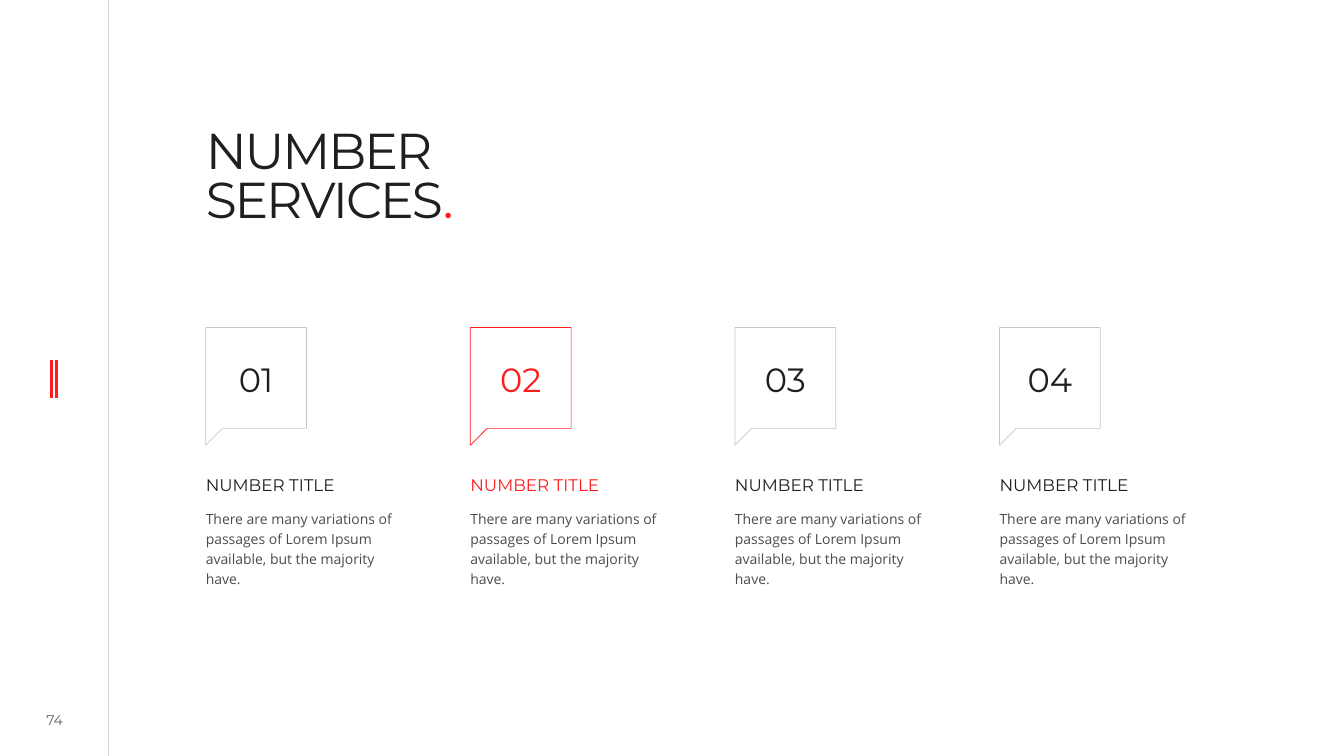
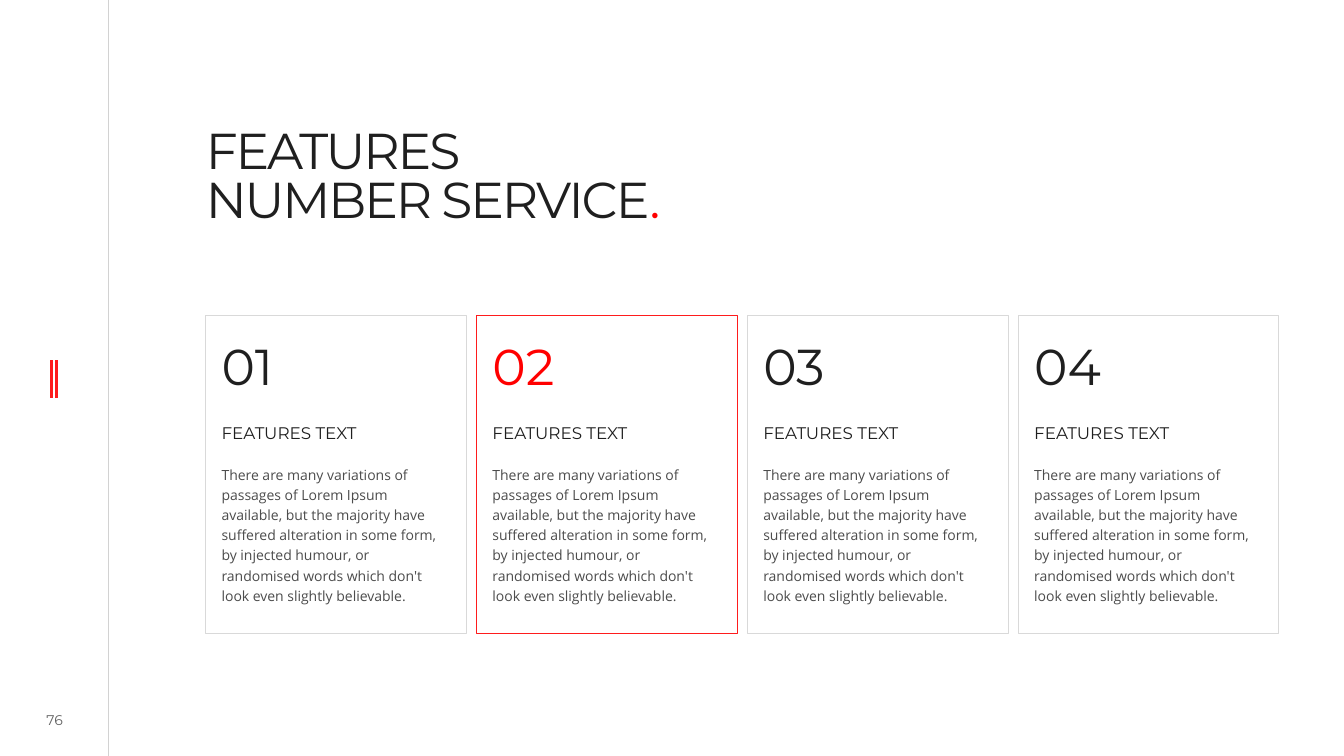
from lxml.etree import SubElement
from pptx import Presentation
from pptx.dml.color import RGBColor
from pptx.enum.shapes import MSO_CONNECTOR, MSO_SHAPE
from pptx.enum.text import MSO_ANCHOR, MSO_AUTO_SIZE, PP_ALIGN
from pptx.oxml.ns import qn
from pptx.util import Pt

PX = 9525
HEX = {
    "ink": "1F1F1F",
    "text": "4C4C4C",
    "page": "626262",
    "rule": "D2D2D2",
    "red": "FE1C1D",
    "hot": "FF0000",
    "grey": "C7C7C7",
    "pale": "D9D9D9",
}
HEAD, BODY = "Montserrat", "Open Sans"
LEFT = 196
PITCH = 252
STEP = 258
PAD = 15


def paint(fill, name):
    fill.solid()
    fill.fore_color.rgb = RGBColor.from_string(HEX[name])


def write(slide, box, text, size, name="ink", font=HEAD, space=0.7, align=PP_ALIGN.LEFT, top=5, low=5, grow=True):
    frame = slide.shapes.add_textbox(*[n * PX for n in box]).text_frame
    frame.word_wrap = True
    frame.auto_size = MSO_AUTO_SIZE.SHAPE_TO_FIT_TEXT if grow else MSO_AUTO_SIZE.NONE
    frame.margin_left = frame.margin_right = 0
    frame.margin_top, frame.margin_bottom = top * PX, low * PX
    para = frame.paragraphs[0]
    para.text = text
    para.alignment = align
    para.line_spacing = space
    para.font.name = font
    para.font.size = Pt(size)
    paint(para.font.fill, name)
    return frame


deck = Presentation()
deck.slide_width, deck.slide_height = 1280 * PX, 720 * PX

rules = [(103, 0, 720, "rule", 0.5), (49, 343, 379, "red", 2), (54, 343, 379, "red", 2)]
pages = [("74", "NUMBER\vSERVICES", "red"), ("76", "FEATURES\vNUMBER SERVICE", "hot")]
slides = []
for page, title, dot in pages:
    slide = deck.slides.add_slide(deck.slide_layouts[6])
    slides.append(slide)
    for x, top, low, name, width in rules:
        rule = slide.shapes.add_connector(MSO_CONNECTOR.STRAIGHT, x * PX, top * PX, x * PX, low * PX)
        paint(rule.line.fill, name)
        rule.line.width = Pt(width)
        SubElement(rule._element.spPr, qn("a:effectLst"))
    frame = write(slide, (25, 674, 54, 24), page, 10, "page", space=1.0, align=PP_ALIGN.CENTER, top=0, low=0, grow=False)
    frame.vertical_anchor = MSO_ANCHOR.MIDDLE
    frame = write(slide, (LEFT, 105, 444, 170), title, 36, space=0.8, top=20, low=0, grow=False)
    para = frame.paragraphs[0]
    end = para.add_run()
    end.text = "."
    paint(end.font.fill, dot)
    for run in para.runs:
        run._r.get_or_add_rPr().set("spc", "-150")

numbers, cards = slides
blurb = "There are many variations of passages of Lorem Ipsum available, but the majority have"
more = " suffered alteration in some form, by injected humour, or randomised words which don't look even slightly believable."

for i in range(4):
    label = f"0{i + 1}"
    main = i == 1

    x = LEFT + i * PITCH
    name = "red" if main else "ink"
    path = numbers.shapes.build_freeform(x, 312, scale=PX)
    path.add_line_segments([(x + 96, 312), (x + 96, 408), (x + 16, 408), (x, 424)])
    bubble = path.convert_to_shape()
    bubble.shadow.inherit = False
    bubble.fill.background()
    paint(bubble.line.fill, "red" if main else "grey")
    bubble.line.width = Pt(0.5)
    write(numbers, (x, 452, 192, 24), "NUMBER TITLE", 12, name)
    write(numbers, (x, 478, 192, 87), blurb + ".", 10, "text", BODY, 1.2)
    write(numbers, (x + 15, 347, 66, 39), label, 24, name, align=PP_ALIGN.CENTER)

    x = LEFT + i * STEP
    card = cards.shapes.add_shape(MSO_SHAPE.RECTANGLE, x * PX, 300 * PX, 248 * PX, 303 * PX)
    card.shadow.inherit = False
    card.fill.background()
    paint(card.line.fill, "red" if main else "pale")
    card.line.width = Pt(0.5)
    write(cards, (x + PAD, 330, 217, 55), label, 36, "hot" if main else "ink")
    write(cards, (x + PAD, 403, 217, 25), "FEATURES TEXT", 12)
    write(cards, (x + PAD, 436, 217, 145), blurb + more, 10, "text", BODY, 1.2)

deck.save("out.pptx")
